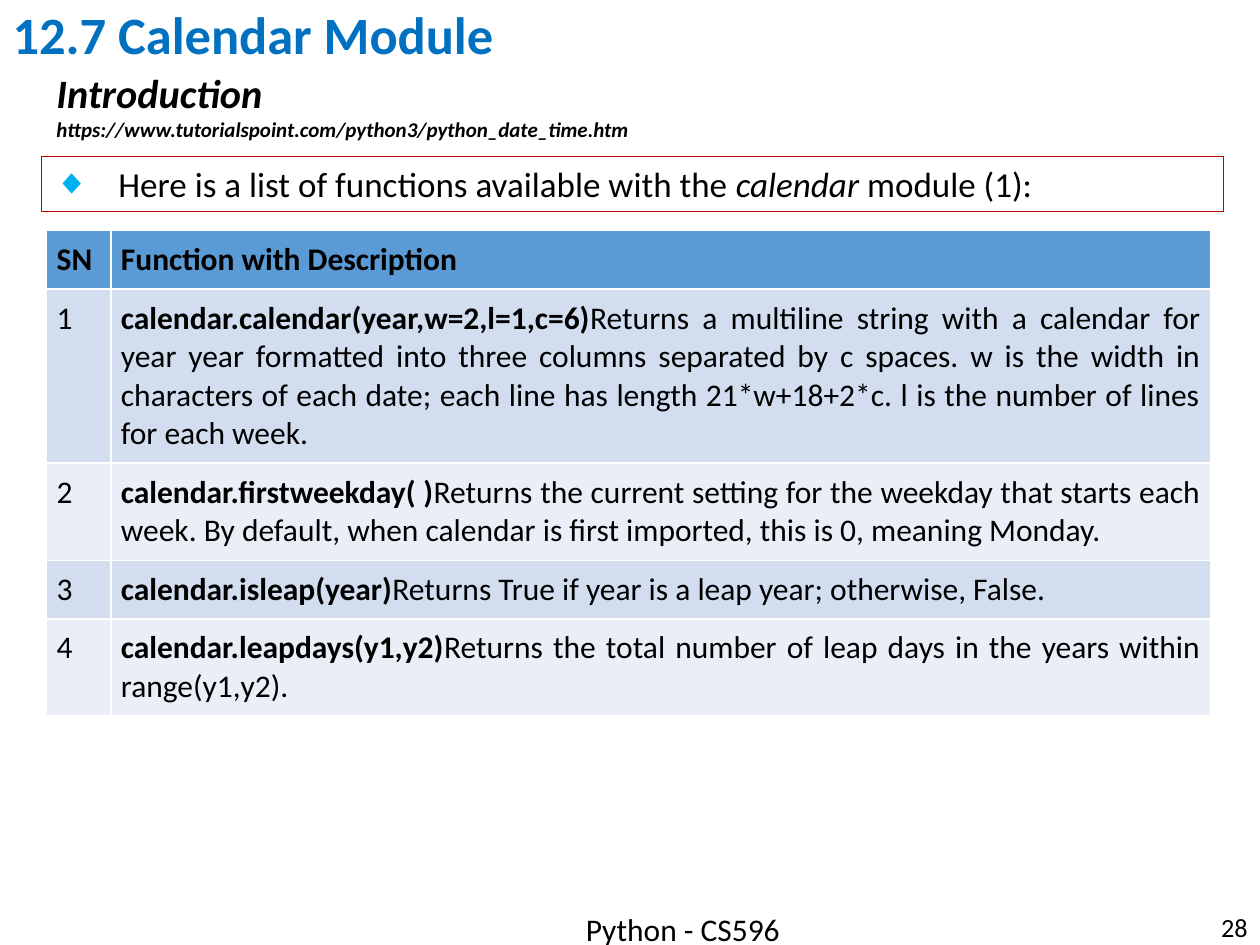
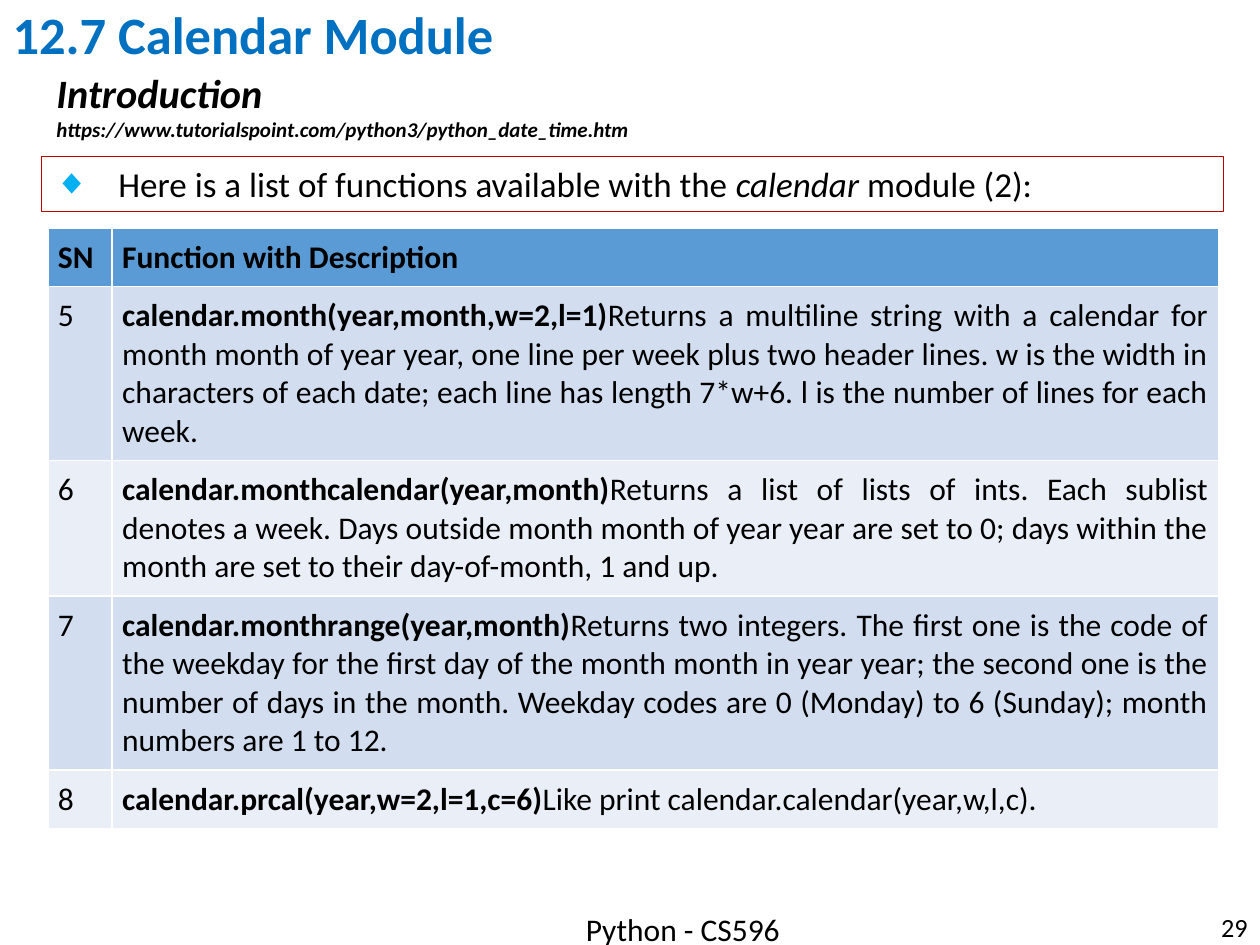
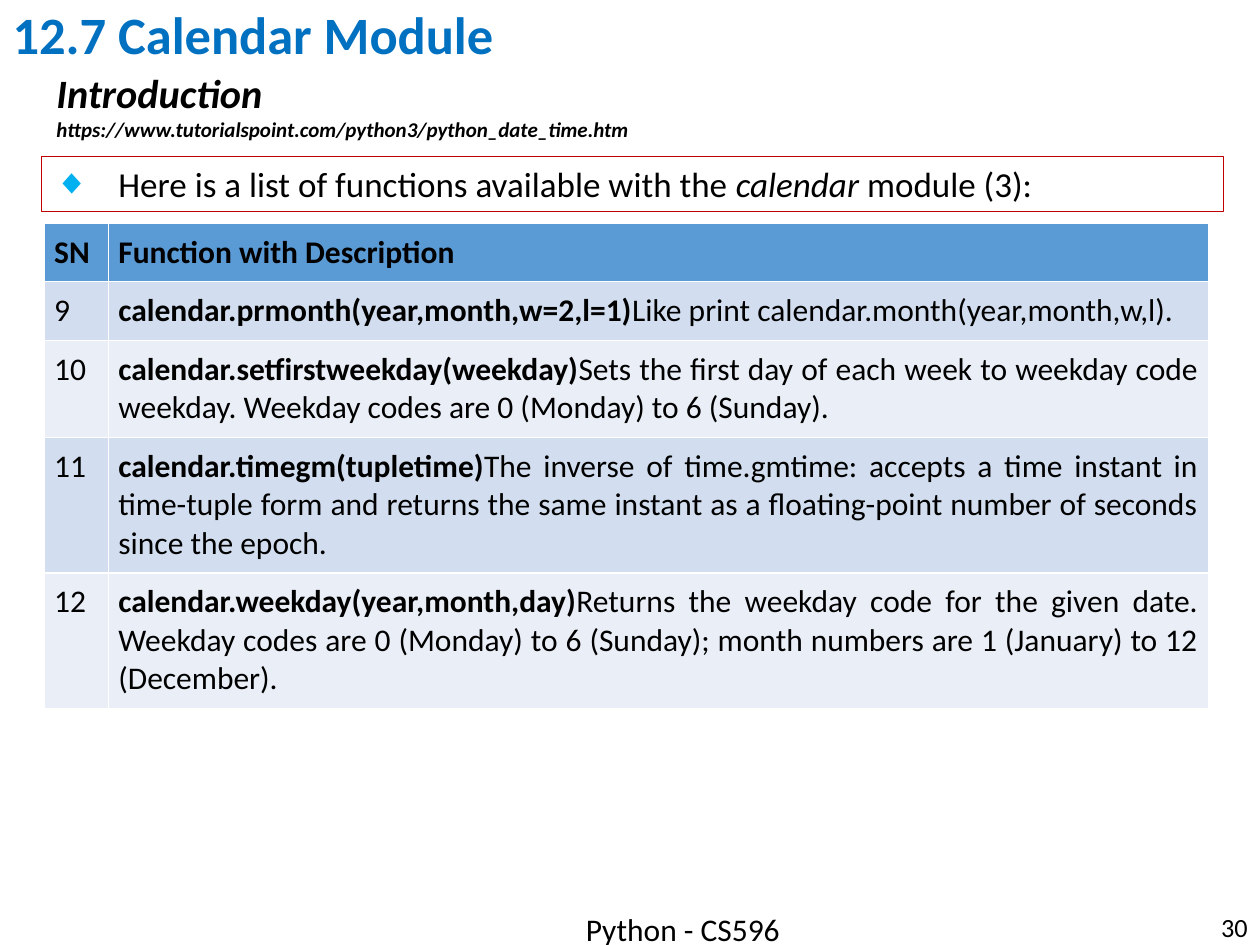
from lxml import etree
from pptx import Presentation
from pptx.dml.color import RGBColor
from pptx.enum.text import MSO_ANCHOR, MSO_AUTO_SIZE, PP_ALIGN
from pptx.oxml.ns import qn
from pptx.util import Emu, Pt

LEFT, CENTER, RIGHT, JUSTIFY = PP_ALIGN.LEFT, PP_ALIGN.CENTER, PP_ALIGN.RIGHT, PP_ALIGN.JUSTIFY
TOP, MIDDLE = MSO_ANCHOR.TOP, MSO_ANCHOR.MIDDLE
NO_FIT = MSO_AUTO_SIZE.NONE

SCALE = 9144
FONT = "Calibri"
COLORS = {
    "text": "000000",
    "title": "0070C0",
    "bullet": "00B0F0",
    "frame": "C00000",
    "header": "5B9BD5",
    "odd": "D2DEEF",
    "even": "EAEFF7",
}
NUMBER_WIDTH = 51
LINE_HEIGHT = 30
CELL_INSET = 8
FIRST_PAGE = 28


def px(length):
    return Emu(length * SCALE)


class Lesson:
    def __init__(self):
        self.deck = Presentation()
        self.deck.slide_width = px(1000)
        self.deck.slide_height = px(750)
        self.page = None

    def add_page(self):
        self.page = self.deck.slides.add_slide(self.deck.slide_layouts[1])

    def place(self, shape, left, top, width, height, anchor=TOP):
        shape.left, shape.top = px(left), px(top)
        shape.width, shape.height = px(width), px(height)
        frame = shape.text_frame
        frame.word_wrap = True
        frame.auto_size = NO_FIT
        frame.vertical_anchor = anchor
        return frame

    def add_spans(self, para, spans, size, align=LEFT, color="text"):
        para.alignment = align
        for text, bold, italic in spans:
            span = para.add_run()
            span.text = text
            font = span.font
            font.name, font.size = FONT, Pt(size)
            font.bold, font.italic = bold, italic
            font.color.rgb = RGBColor.from_string(COLORS[color])

    def title(self, text):
        frame = self.place(self.page.shapes.title, 0, -3, 1000, 66, MIDDLE)
        para = frame.paragraphs[0]
        para.line_spacing = 0.9
        self.add_spans(para, [(text, True, False)], 30, color="title")

    def text_box(self, bounds, lines, align=LEFT, anchor=TOP, strong=False):
        box = self.page.shapes.add_textbox(0, 0, 0, 0)
        frame = self.place(box, *bounds, anchor)
        for index, (text, size) in enumerate(lines):
            para = frame.add_paragraph() if index else frame.paragraphs[0]
            self.add_spans(para, [(text, strong, strong)], size, align)

    def framed_bullet(self, spans):
        box = self.page.placeholders[1]
        frame = self.place(box, 33, 124, 938, 44)
        box.line.color.rgb = RGBColor.from_string(COLORS["frame"])
        box.line.width = Pt(0.75)
        para = frame.paragraphs[0]
        para.space_before = Pt(0)
        properties = para._p.get_or_add_pPr()
        properties.set("marL", str(px(51)))
        properties.set("indent", str(px(-51)))
        tint = etree.SubElement(properties, qn("a:buClr"))
        etree.SubElement(tint, qn("a:srgbClr"), val=COLORS["bullet"])
        etree.SubElement(properties, qn("a:buChar"), char="◆")
        self.add_spans(para, spans, 20)

    def function_table(self, left, top, width, first_number, functions):
        rows = [("SN", [("Function with Description", True, False)], 1)]
        for number, (call, meaning, lines) in enumerate(functions, first_number):
            rows.append((str(number), [(call, True, False), (meaning, False, False)], lines))
        heights = [lines * LINE_HEIGHT + 2 * CELL_INSET for _, _, lines in rows]
        table = self.page.shapes.add_table(
            len(rows), 2, px(left), px(top), px(width), px(sum(heights))).table
        table.columns[0].width = px(NUMBER_WIDTH)
        table.columns[1].width = px(width - NUMBER_WIDTH)
        for index, (label, spans, _) in enumerate(rows):
            table.rows[index].height = px(heights[index])
            fill = "header" if index == 0 else "odd" if index % 2 else "even"
            align = JUSTIFY if index else LEFT
            self.cell(table.cell(index, 0), [(label, index == 0, False)], LEFT, fill)
            self.cell(table.cell(index, 1), spans, align, fill)

    def cell(self, cell, spans, align, fill):
        cell.margin_left = cell.margin_right = px(CELL_INSET)
        cell.margin_top = cell.margin_bottom = px(CELL_INSET)
        cell.fill.solid()
        cell.fill.fore_color.rgb = RGBColor.from_string(COLORS[fill])
        self.add_spans(cell.text_frame.paragraphs[0], spans, 18, align)


PAGES = [
    ((37, 183, 924), [
        ("calendar.calendar(year,w=2,l=1,c=6)",
         "Returns a multiline string with a calendar for year year formatted into three columns "
         "separated by c spaces. w is the width in characters of each date; each line has length "
         "21*w+18+2*c. l is the number of lines for each week.", 4),
        ("calendar.firstweekday( )",
         "Returns the current setting for the weekday that starts each week. By default, when "
         "calendar is first imported, this is 0, meaning Monday.", 2),
        ("calendar.isleap(year)",
         "Returns True if year is a leap year; otherwise, False.", 1),
        ("calendar.leapdays(y1,y2)",
         "Returns the total number of leap days in the years within range(y1,y2).", 2),
    ]),
    ((38, 181, 929), [
        ("calendar.month(year,month,w=2,l=1)",
         "Returns a multiline string with a calendar for month month of year year, one line per "
         "week plus two header lines. w is the width in characters of each date; each line has "
         "length 7*w+6. l is the number of lines for each week.", 4),
        ("calendar.monthcalendar(year,month)",
         "Returns a list of lists of ints. Each sublist denotes a week. Days outside month month "
         "of year year are set to 0; days within the month are set to their day-of-month, 1 and "
         "up.", 3),
        ("calendar.monthrange(year,month)",
         "Returns two integers. The first one is the code of the weekday for the first day of "
         "the month month in year year; the second one is the number of days in the month. "
         "Weekday codes are 0 (Monday) to 6 (Sunday); month numbers are 1 to 12.", 4),
        ("calendar.prcal(year,w=2,l=1,c=6)",
         "Like print calendar.calendar(year,w,l,c).", 1),
    ]),
    ((35, 177, 924), [
        ("calendar.prmonth(year,month,w=2,l=1)",
         "Like print calendar.month(year,month,w,l).", 1),
        ("calendar.setfirstweekday(weekday)",
         "Sets the first day of each week to weekday code weekday. Weekday codes are 0 (Monday) "
         "to 6 (Sunday).", 2),
        ("calendar.timegm(tupletime)",
         "The inverse of time.gmtime: accepts a time instant in time-tuple form and returns the "
         "same instant as a floating-point number of seconds since the epoch.", 3),
        ("calendar.weekday(year,month,day)",
         "Returns the weekday code for the given date. Weekday codes are 0 (Monday) to 6 "
         "(Sunday); month numbers are 1 (January) to 12 (December).", 3),
    ]),
]


def main():
    lesson = Lesson()
    first_number = 1
    for part, (bounds, functions) in enumerate(PAGES, 1):
        lesson.add_page()
        lesson.title("12.7 Calendar Module")
        lesson.text_box((35, 49, 637, 69), [
            ("Introduction", 23),
            ("https://www.tutorialspoint.com/python3/python_date_time.htm", 12),
        ], strong=True)
        lesson.framed_bullet([
            ("Here is a list of functions available with the ", False, False),
            ("calendar", False, True),
            (f" module ({part}):", False, False),
        ])
        lesson.function_table(*bounds, first_number, functions)
        lesson.text_box((308, 717, 468, 40), [("Python - CS596", 18)], CENTER)
        lesson.text_box((775, 716, 225, 40), [(str(FIRST_PAGE + part - 1), 15)], RIGHT, MIDDLE)
        first_number += len(functions)
    lesson.deck.save("out.pptx")


if __name__ == "__main__":
    main()
